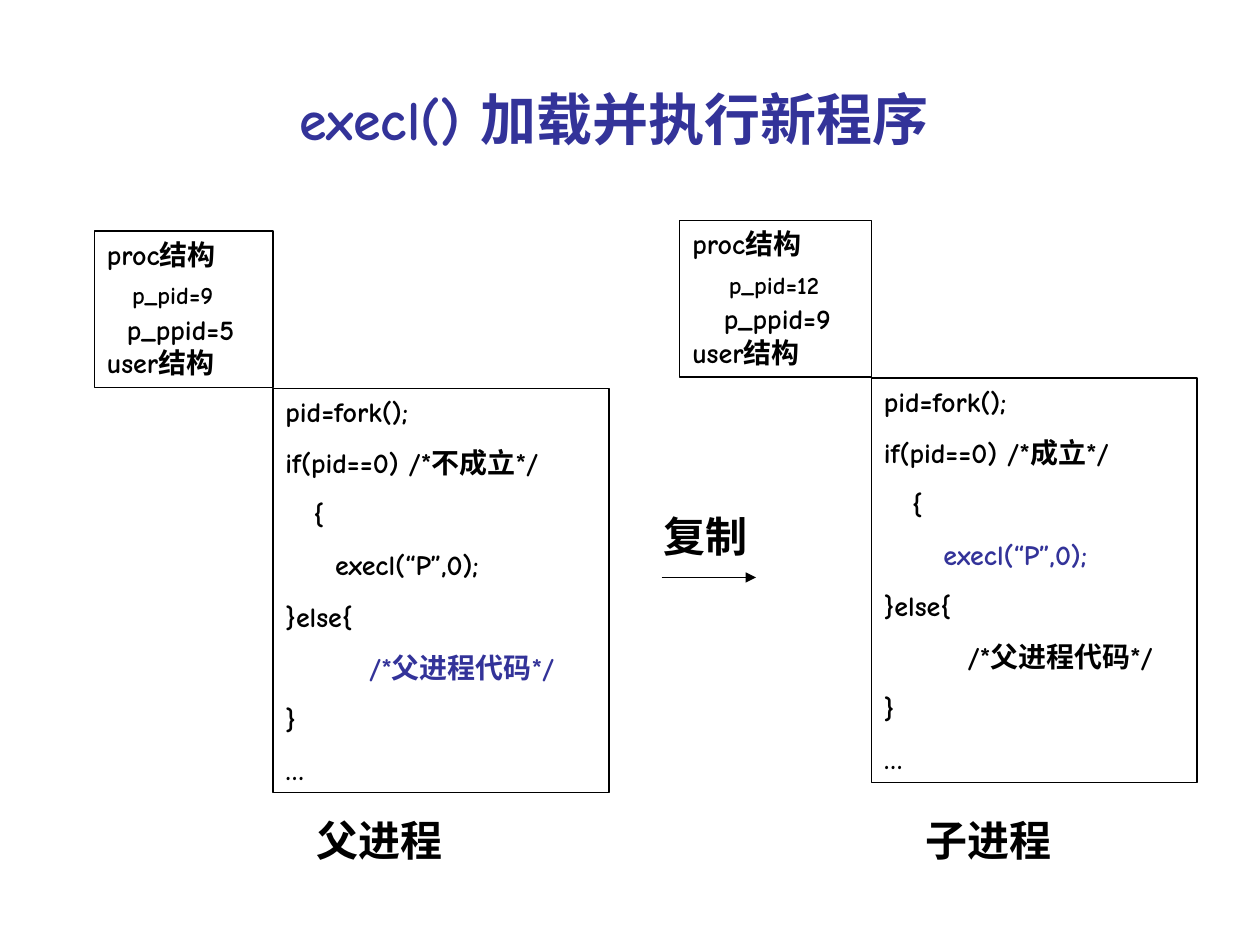
from dataclasses import dataclass

from lxml import etree
from pptx import Presentation
from pptx.dml.color import RGBColor
from pptx.enum.shapes import MSO_CONNECTOR, MSO_SHAPE
from pptx.enum.text import MSO_ANCHOR, PP_ALIGN
from pptx.oxml.ns import qn
from pptx.util import Inches, Pt

RECTANGLE = MSO_SHAPE.RECTANGLE
STRAIGHT = MSO_CONNECTOR.STRAIGHT
TOP, LEFT, CENTER = MSO_ANCHOR.TOP, PP_ALIGN.LEFT, PP_ALIGN.CENTER

GRID_COLUMNS, GRID_ROWS = 120, 90
CELL = Inches(10) / GRID_COLUMNS
BLACK, INDIGO = "000000", "333399"
CODE_FONT, LABEL_FONT = "Comic Neue", "Times New Roman"


@dataclass(frozen=True)
class Area:
    """Position and size in grid columns and rows."""
    column: float
    row: float
    columns: float
    rows: float


@dataclass(frozen=True)
class Run:
    text: str
    size: int = 16
    color: str = BLACK
    font: str = CODE_FONT


@dataclass(frozen=True)
class Line:
    runs: tuple[Run, ...]
    before: float = 0
    after: float = 0
    indent: float = 0
    align: int = LEFT


@dataclass(frozen=True)
class Process:
    caption: str
    pid: int
    ppid: int
    condition: str
    exec_indent: int
    active_row: int
    field_indent: float
    structure: Area
    code: Area
    label: Area


PROCESSES = (
    Process("父进程", 9, 5, "不成立", 5, 5, 0.16,
            Area(9, 22, 17, 14.9), Area(26, 37, 32, 38.5), Area(29, 77, 15, 6)),
    Process("子进程", 12, 9, "成立", 6, 3, 0.25,
            Area(64.75, 21, 18.25, 14.9), Area(83, 36, 31, 38.5), Area(87, 77, 15, 6)),
)


def grid(cells: float) -> int:
    return round(cells * CELL)


def rgb(color: str) -> RGBColor:
    return RGBColor.from_string(color)


def write_lines(frame, lines: list[Line]) -> None:
    frame.word_wrap = True
    frame.vertical_anchor = TOP
    for index, line in enumerate(lines):
        paragraph = frame.paragraphs[0] if index == 0 else frame.add_paragraph()
        spacing = {"alignment": line.align, "space_before": Pt(line.before),
                   "space_after": Pt(line.after)}
        for attribute, value in spacing.items():
            setattr(paragraph, attribute, value)
        if line.indent:
            paragraph._p.get_or_add_pPr().set("marL", str(Inches(line.indent)))
        for part in line.runs:
            run = paragraph.add_run()
            run.text = part.text
            style = {"name": part.font, "size": Pt(part.size), "bold": True}
            for attribute, value in style.items():
                setattr(run.font, attribute, value)
            run.font.color.rgb = rgb(part.color)


def bounds(area: Area) -> tuple[int, int, int, int]:
    return grid(area.column), grid(area.row), grid(area.columns), grid(area.rows)


def add_panel(slide, area: Area, lines: list[Line]) -> None:
    panel = slide.shapes.add_shape(RECTANGLE, *bounds(area))
    panel.shadow.inherit = False
    panel.fill.background()
    panel.line.color.rgb = rgb(BLACK)
    panel.line.width = Pt(0.75)
    write_lines(panel.text_frame, lines)


def add_label(slide, area: Area, *runs: Run, align: int = LEFT) -> None:
    label = slide.shapes.add_textbox(*bounds(area))
    write_lines(label.text_frame, [Line(runs, align=align)])


def structure_lines(process: Process) -> list[Line]:
    indent = process.field_indent
    return [
        Line((Run("proc结构"),)),
        Line((Run(f"p_pid={process.pid}", 14),), before=5.5, after=1.5, indent=indent + 0.04),
        Line((Run(f"p_ppid={process.ppid}"),), indent=indent),
        Line((Run("user结构"),)),
    ]


def code_lines(process: Process) -> list[Line]:
    statements = (
        "pid=fork();",
        f"if(pid==0) /*{process.condition}*/",
        "　{",
        " " * process.exec_indent + "execl(“P”,0);",
        "}else{",
        "　　　/*父进程代码*/",
        "}",
        "…",
    )
    return [
        Line((Run(text, color=INDIGO if row == process.active_row else BLACK),),
             before=10 if row else 0)
        for row, text in enumerate(statements)
    ]


def add_arrow(slide, start: float, end: float, row: float) -> None:
    arrow = slide.shapes.add_connector(STRAIGHT, grid(start), grid(row), grid(end), grid(row))
    arrow.line.color.rgb = rgb(BLACK)
    arrow.line.width = Pt(1)
    etree.SubElement(arrow.line._get_or_add_ln(), qn("a:tailEnd"), type="triangle")
    etree.SubElement(arrow._element.spPr, qn("a:effectLst"))


def main() -> None:
    presentation = Presentation()
    presentation.slide_width = grid(GRID_COLUMNS)
    presentation.slide_height = grid(GRID_ROWS)
    slide = presentation.slides.add_slide(presentation.slide_layouts[6])

    add_label(slide, Area(9, 7.5, 99, 7.7), Run("execl() ", 32, INDIGO),
              Run("加载并执行新程序", 32, INDIGO, LABEL_FONT), align=CENTER)
    for process in PROCESSES:
        add_panel(slide, process.code, code_lines(process))
        add_panel(slide, process.structure, structure_lines(process))
        add_label(slide, process.label, Run(process.caption, 24, font=LABEL_FONT))
    add_arrow(slide, 63, 72, 55)
    add_label(slide, Area(62, 48, 11, 6), Run("复制", 24, font=LABEL_FONT))

    presentation.save("out.pptx")


if __name__ == "__main__":
    main()
